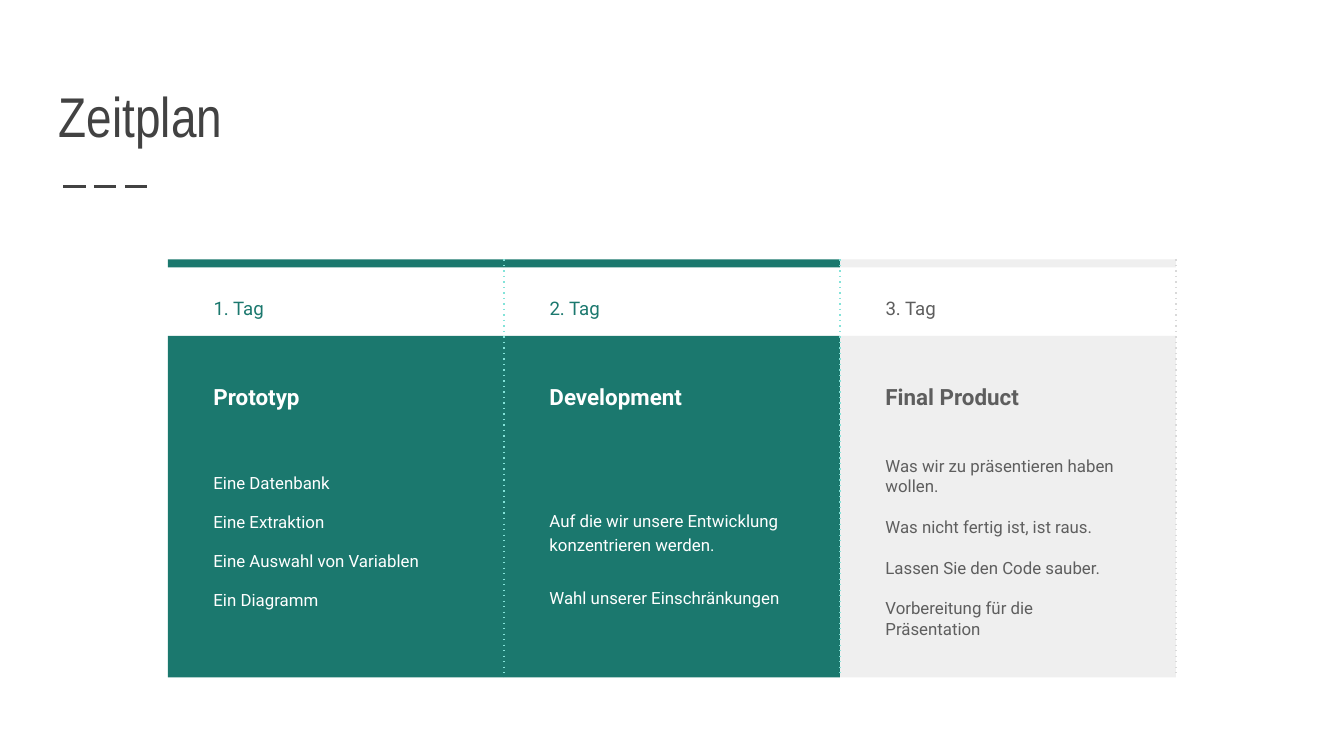
from lxml import etree
from pptx import Presentation
from pptx.dml.color import RGBColor
from pptx.enum.shapes import MSO_CONNECTOR, MSO_SHAPE
from pptx.enum.text import MSO_ANCHOR
from pptx.oxml.ns import qn
from pptx.util import Inches, Pt

RECTANGLE = MSO_SHAPE.RECTANGLE
STRAIGHT = MSO_CONNECTOR.STRAIGHT
TOP, BOTTOM = MSO_ANCHOR.TOP, MSO_ANCHOR.BOTTOM
DOT, LONG_DASH = "dot", "lgDash"

TITLE = "Zeitplan"
DARK, GREEN, MINT = "424242", "1B786E", "83E3D9"
WHITE, GRAY, PALE, SILVER = "FFFFFF", "5E5E5E", "EFEFEF", "D9D9D9"

ACTIVE = {"fill": GREEN, "day": GREEN, "text": WHITE, "divider": MINT}
FINAL = {"fill": PALE, "day": GRAY, "text": GRAY, "divider": SILVER}

COLUMNS = [
    {
        "day": "1. Tag",
        "heading": "Prototyp",
        "items": ["Eine Datenbank", "Eine Extraktion",
                  "Eine Auswahl von Variablen", "Ein Diagramm"],
        "top": 3.42, "height": 1.09, "gap": 10, "spacing": 1.0,
        "style": ACTIVE,
    },
    {
        "day": "2. Tag",
        "heading": "Development",
        "items": ["Auf die wir unsere Entwicklung konzentrieren werden.",
                  "Wahl unserer Einschränkungen"],
        "top": 3.68, "height": 1.09, "gap": 16, "spacing": 1.15,
        "style": ACTIVE,
    },
    {
        "day": "3. Tag",
        "heading": "Final Product",
        "items": ["Was wir zu präsentieren haben wollen.",
                  "Was nicht fertig ist, ist raus.",
                  "Lassen Sie den Code sauber.",
                  "Vorbereitung für die Präsentation"],
        "top": 3.29, "height": 1.48, "gap": 11, "spacing": 1.0,
        "style": FINAL,
    },
]

LEFT, WIDTH = 1.25, 2.5
BAR_TOP, BAR_HEIGHT = 1.93, 0.06
PANEL_TOP, PANEL_HEIGHT = 2.5, 2.54
TEXT_INDENT, TEXT_WIDTH = 0.24, 2.03


def color(value):
    return RGBColor.from_string(value)


def add_block(shapes, left, top, width, height, fill):
    block = shapes.add_shape(RECTANGLE, Inches(left), Inches(top),
                             Inches(width), Inches(height))
    block.shadow.inherit = False
    block.fill.solid()
    block.fill.fore_color.rgb = color(fill)
    block.line.fill.background()


def add_line(shapes, start, end, stroke, weight, dash):
    line = shapes.add_connector(STRAIGHT, *map(Inches, start + end))
    line.line.color.rgb = color(stroke)
    line.line.width = Pt(weight)
    properties = line._element.spPr
    outline = properties.find(qn("a:ln"))
    etree.SubElement(outline, qn("a:prstDash")).set("val", dash)
    etree.SubElement(properties, qn("a:effectLst"))


def add_text(shapes, left, top, width, height, lines, size, ink, font="Roboto",
             bold=False, spacing=1.0, gap=0, anchor=TOP):
    box = shapes.add_textbox(Inches(left), Inches(top),
                             Inches(width), Inches(height))
    frame = box.text_frame
    frame.word_wrap = True
    frame.vertical_anchor = anchor
    frame.margin_left = frame.margin_right = Inches(0.1)
    frame.margin_top = frame.margin_bottom = Inches(0.1)
    for index, line in enumerate(lines):
        para = frame.add_paragraph() if index else frame.paragraphs[0]
        para.line_spacing = spacing
        para.space_before = Pt(gap if index else 0)
        span = para.add_run()
        span.text = line
        span.font.name = font
        span.font.size = Pt(size)
        span.font.bold = bold
        span.font.color.rgb = color(ink)


def add_column(page, index, column):
    style = column["style"]
    left = LEFT + index * WIDTH
    right = left + WIDTH
    text_left = left + TEXT_INDENT
    shapes = page.shapes.add_group_shape().shapes
    add_block(shapes, left, PANEL_TOP, WIDTH, PANEL_HEIGHT, style["fill"])
    add_block(shapes, left, BAR_TOP, WIDTH, BAR_HEIGHT, style["fill"])
    add_text(shapes, text_left, 2.09, 0.95, 0.28, [column["day"]], 10,
             style["day"], spacing=1.15)
    add_text(shapes, text_left, 2.75, TEXT_WIDTH, 0.87, [column["heading"]], 12,
             style["text"], bold=True)
    add_text(shapes, text_left, column["top"], TEXT_WIDTH, column["height"],
             column["items"], 9, style["text"], spacing=column["spacing"],
             gap=column["gap"])
    add_line(shapes, (right, BAR_TOP), (right, 5.03), style["divider"], 0.75, DOT)


def main():
    deck = Presentation()
    deck.slide_width = Inches(10)
    deck.slide_height = Inches(10 * 9 / 16)
    page = deck.slides.add_slide(deck.slide_layouts[6])
    add_line(page.shapes, (0.47, 1.39), (1.14, 1.39), DARK, 1.5, LONG_DASH)
    add_text(page.shapes, 0.34, 0.41, 9.32, 0.8, [TITLE], 30, DARK,
             font="Arial Narrow", anchor=BOTTOM)
    for index, column in reversed(list(enumerate(COLUMNS))):
        add_column(page, index, column)
    deck.save("out.pptx")


if __name__ == "__main__":
    main()
